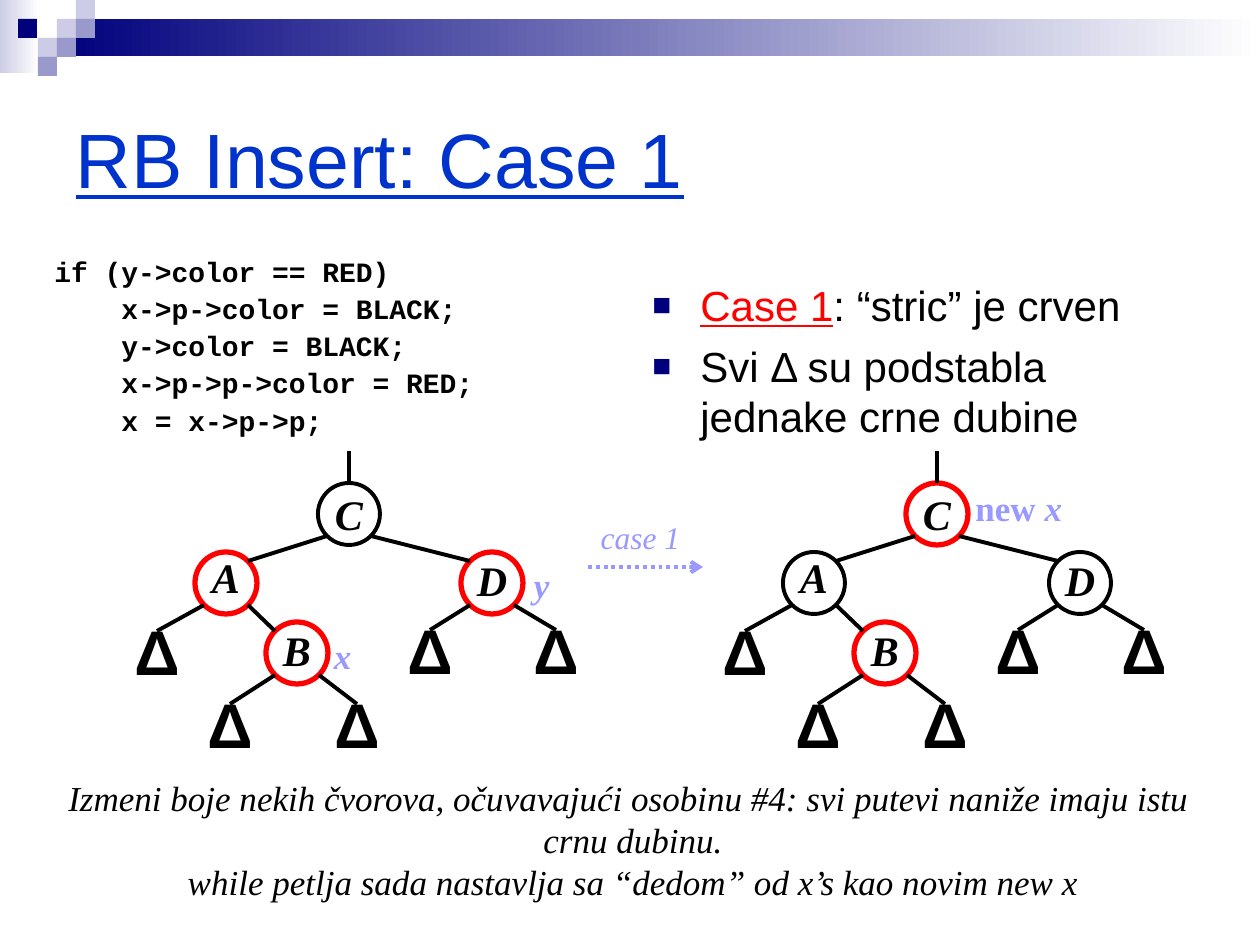
from lxml import etree
from pptx import Presentation
from pptx import util as u
from pptx.dml.color import RGBColor
from pptx.enum import dml, shapes, text
from pptx.oxml.ns import qn

BLACK = RGBColor(0x00, 0x00, 0x00)
WHITE = RGBColor(0xFF, 0xFF, 0xFF)
RED = RGBColor(0xFF, 0x00, 0x00)
BLUE = RGBColor(0x00, 0x33, 0xCC)
NAVY = RGBColor(0x00, 0x00, 0x7D)
PERIWINKLE = RGBColor(0x99, 0x99, 0xFF)
MIST = RGBColor(0xCC, 0xCC, 0xE6)
SLATE = RGBColor(0x99, 0x99, 0xCC)

SERIF = "Times New Roman"
CENTER = text.PP_ALIGN.CENTER
PX_PER_INCH = 126
RADIUS = 31
DIAGONAL = 22
TREE_STEP = 588

CODE = {"name": "Courier New", "size": u.Pt(16), "bold": True, "color": BLACK}
BODY = {"name": "Arial", "size": u.Pt(24), "color": BLACK}
TERM = {**BODY, "color": RED, "underline": True}
KEY = {"name": SERIF, "size": u.Pt(24), "bold": True, "italic": True, "color": BLACK}
DELTA = {"name": "Arial", "size": u.Pt(36), "bold": True, "color": BLACK}
POINTER = {"name": SERIF, "size": u.Pt(20), "bold": True, "italic": True, "color": PERIWINKLE}
STEP = {"name": SERIF, "size": u.Pt(18), "italic": True, "color": PERIWINKLE}
NOTE = {"name": SERIF, "size": u.Pt(20), "italic": True, "color": BLACK}

SQUARES = [(57, 19, MIST), (76, 0, MIST), (76, 19, SLATE), (38, 38, MIST),
           (18, 19, NAVY), (57, 38, SLATE), (38, 57, SLATE)]
NODES = {"C": (349, 514, 1.0), "A": (226, 583, 0.7),
         "D": (492, 583, 0.9), "B": (297, 653, 0.9)}
LEAVES = [("A", 157, 662, WHITE), ("B", 230, 735, WHITE), ("B", 357, 735, None),
          ("D", 430, 661, None), ("D", 556, 661, None)]
BRANCHES = [("C", "A"), ("C", "D"), ("A", "B")]
CODE_LINES = ["if (y->color == RED)",
              "    x->p->color = BLACK;",
              "    y->color = BLACK;",
              "    x->p->p->color = RED;",
              "    x = x->p->p;"]
NOTE_LINES = ["Izmeni boje nekih čvorova, očuvavajući osobinu #4: svi putevi naniže imaju istu ",
              "crnu dubinu.",
              "while petlja sada nastavlja sa “dedom” od x’s kao novim new x"]


def px(*values):
    return [u.Emu(round(value * u.Inches(1) / PX_PER_INCH)) for value in values]


class SlideBuilder:
    def __init__(self, presentation):
        self.slide = presentation.slides.add_slide(presentation.slide_layouts[5])
        self.shapes = self.slide.shapes

    def apply_style(self, target, values):
        for name, value in values.items():
            if name == "color":
                target.color.rgb = value
            else:
                setattr(target, name, value)

    def fill_text(self, frame, paragraphs, layout, bullet=False, **frame_values):
        self.apply_style(frame, frame_values)
        for index, runs in enumerate(paragraphs):
            paragraph = frame.add_paragraph() if index else frame.paragraphs[0]
            if bullet:
                self.bullet(paragraph)
            values = dict(layout)
            if not index and "space_before" in values:
                values["space_before"] = u.Pt(0)
            self.apply_style(paragraph, values)
            for words, style in runs:
                run = paragraph.add_run()
                run.text = words
                self.apply_style(run.font, style)

    def bullet(self, paragraph):
        properties = paragraph._p.get_or_add_pPr()
        indent = px(48)[0]
        properties.set("marL", str(indent))
        properties.set("indent", str(-indent))
        color = etree.SubElement(properties, qn("a:buClr"))
        etree.SubElement(color, qn("a:srgbClr"), val=str(NAVY))
        etree.SubElement(properties, qn("a:buSzPct"), val="75000")
        etree.SubElement(properties, qn("a:buFont"), typeface="Arial")
        etree.SubElement(properties, qn("a:buChar"), char="■")

    def title(self, box, words, style):
        title = self.shapes.title
        self.apply_style(title, dict(zip(("left", "top", "width", "height"), px(*box))))
        self.fill_text(title.text_frame, [[(words, style)]], {"alignment": text.PP_ALIGN.LEFT},
                       vertical_anchor=text.MSO_ANCHOR.MIDDLE, auto_size=text.MSO_AUTO_SIZE.NONE)

    def body(self, box, paragraphs, layout, bullet=False):
        shape = self.shapes.add_textbox(*px(*box))
        self.fill_text(shape.text_frame, paragraphs, layout, bullet, word_wrap=True)

    def label(self, box, paragraphs, alignment=CENTER):
        shape = self.shapes.add_textbox(*px(*box))
        self.fill_text(shape.text_frame, paragraphs, {"alignment": alignment}, word_wrap=False,
                       vertical_anchor=text.MSO_ANCHOR.MIDDLE,
                       auto_size=text.MSO_AUTO_SIZE.SHAPE_TO_FIT_TEXT)

    def rectangle(self, box, *colors):
        shape = self.shapes.add_shape(shapes.MSO_SHAPE.RECTANGLE, *px(*box))
        shape.shadow.inherit = False
        shape.line.fill.background()
        if len(colors) == 1:
            shape.fill.solid()
            shape.fill.fore_color.rgb = colors[0]
            return
        shape.fill.gradient()
        shape.fill.gradient_angle = 0
        for stop, color in zip(shape.fill.gradient_stops, colors):
            stop.color.rgb = color

    def circle(self, x, y, words, style, spacing, fill=WHITE, outline=None):
        box = px(x - RADIUS, y - RADIUS, 2 * RADIUS, 2 * RADIUS)
        shape = self.shapes.add_shape(shapes.MSO_SHAPE.OVAL, *box)
        shape.shadow.inherit = False
        if fill is None:
            shape.fill.background()
        else:
            shape.fill.solid()
            shape.fill.fore_color.rgb = fill
        if outline is None:
            shape.line.fill.background()
        else:
            shape.line.color.rgb = outline
            shape.line.width = u.Pt(3 if outline == RED else 2.25)
        self.fill_text(shape.text_frame, [[(words, style)]],
                       {"alignment": CENTER, "line_spacing": spacing},
                       word_wrap=False, vertical_anchor=text.MSO_ANCHOR.MIDDLE)
        return shape

    def line(self, start, end, color=BLACK):
        connector = self.shapes.add_connector(shapes.MSO_CONNECTOR.STRAIGHT, *px(*start, *end))
        connector.line.color.rgb = color
        connector.line.width = u.Pt(2.25)
        etree.SubElement(connector._element.spPr, qn("a:effectLst"))
        return connector

    def dotted_arrow(self, start, end, color):
        connector = self.line(start, end, color)
        connector.line.dash_style = dml.MSO_LINE.ROUND_DOT
        outline = connector._element.spPr.find(qn("a:ln"))
        etree.SubElement(outline, qn("a:tailEnd"), type="arrow")

    def tree(self, offset, red_keys):
        circles = {}
        for key, (x, y, spacing) in NODES.items():
            outline = RED if key in red_keys else BLACK
            circles[key] = self.circle(x + offset, y, key, KEY, spacing, outline=outline)
        x, y, _ = NODES["C"]
        stem = self.line((x + offset, y - RADIUS), (x + offset, 451))
        stem.begin_connect(circles["C"], 0)
        for parent, child in BRANCHES:
            x, y, _ = NODES[child]
            start, side = self.branch_start(parent, x, offset)
            self.line(start, (x + offset - side * DIAGONAL, y - DIAGONAL))
        for parent, x, y, fill in LEAVES:
            leaf = self.circle(x + offset, y, "Δ", DELTA, 0.6, fill)
            start, _ = self.branch_start(parent, x, offset)
            self.line(start, (x + offset, y - RADIUS)).end_connect(leaf, 0)

    def branch_start(self, parent, child_x, offset):
        x, y, _ = NODES[parent]
        side = 1 if child_x > x else -1
        return (x + offset + side * DIAGONAL, y + DIAGONAL), side


def main():
    presentation = Presentation()
    presentation.slide_width, presentation.slide_height = px(1260, 945)
    builder = SlideBuilder(presentation)

    builder.rectangle((0, 0, 39, 73), MIST, WHITE)
    builder.rectangle((57, 19, 1203, 37), NAVY, WHITE)
    for x, y, color in SQUARES:
        builder.rectangle((x, y, 19, 19), color)

    builder.title((63, 63, 1134, 189), "RB Insert: Case 1",
                  {"name": "Arial", "size": u.Pt(44), "color": BLUE, "underline": True})
    builder.body((42, 252, 557, 207), [[(line, CODE)] for line in CODE_LINES],
                 {"line_spacing": 0.9, "space_before": u.Pt(4)})
    builder.body((640, 273, 557, 217),
                 [[("Case 1", TERM), (": “stric” je crven", BODY)],
                  [("Svi Δ su podstabla jednake crne dubine", BODY)]],
                 {"space_before": u.Pt(6)}, bullet=True)

    builder.tree(0, "ADB")
    builder.tree(TREE_STEP, "CB")
    builder.dotted_arrow((588, 567), (703, 567), PERIWINKLE)

    builder.label((321, 628, 43, 55), [[("x", POINTER)]])
    builder.label((521, 557, 41, 55), [[("y", POINTER)]])
    builder.label((963, 480, 112, 55),
                  [[("new", {**POINTER, "italic": False}), (" x", POINTER)]],
                  text.PP_ALIGN.LEFT)
    builder.label((55, 770, 1156, 139), [[(line, NOTE)] for line in NOTE_LINES])
    builder.label((588, 512, 105, 50), [[("case 1", STEP)]])
    presentation.save("out.pptx")


if __name__ == "__main__":
    main()
